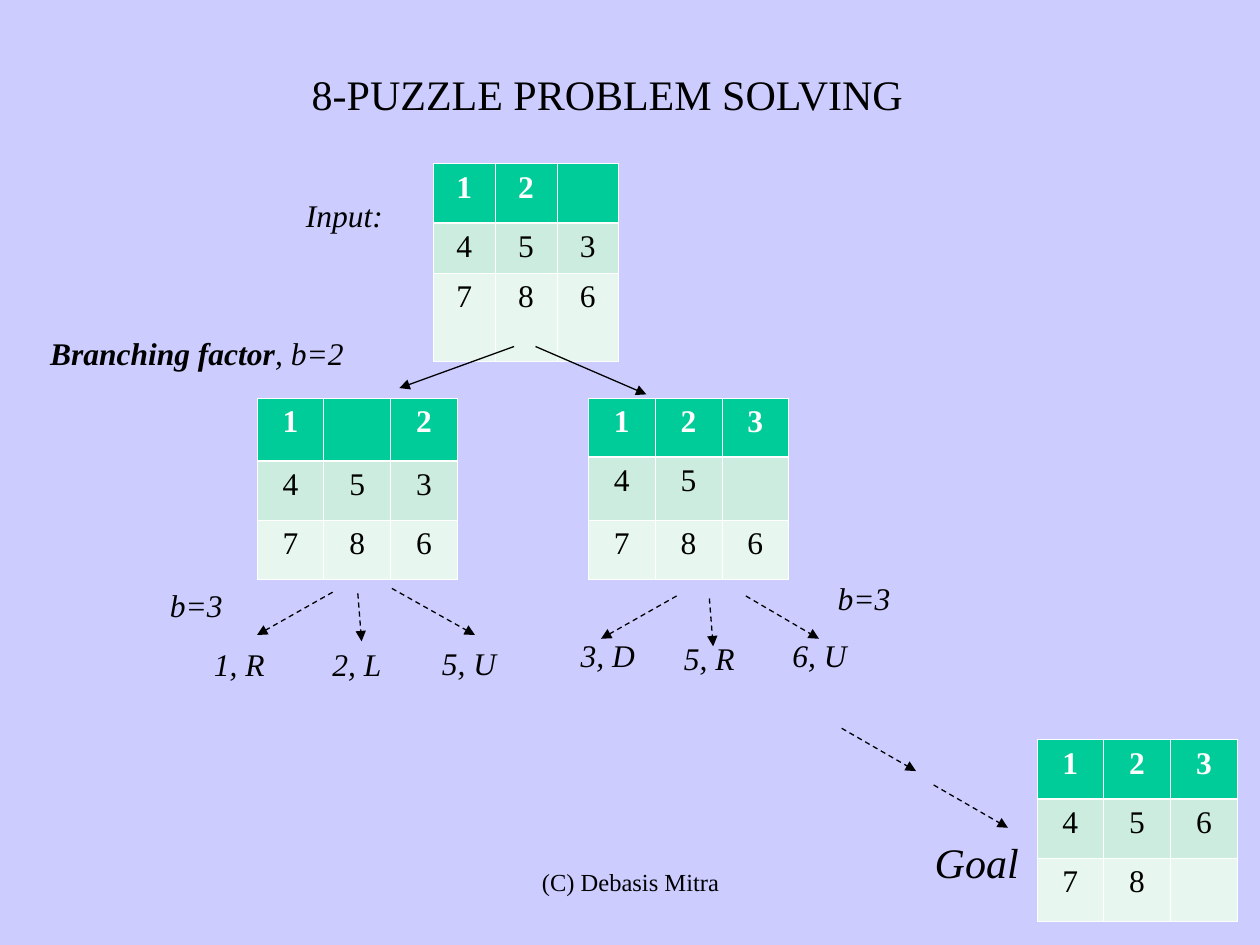
from lxml.etree import SubElement
from pptx import Presentation
from pptx.dml.color import RGBColor
from pptx.enum.dml import MSO_LINE
from pptx.enum.shapes import MSO_CONNECTOR
from pptx.enum.text import MSO_ANCHOR, MSO_AUTO_SIZE, PP_ALIGN
from pptx.oxml.ns import qn
from pptx.util import Inches, Pt

LAVENDER = RGBColor(0xCC, 0xCC, 0xFF)
BLACK = RGBColor(0, 0, 0)
WHITE = RGBColor(0xFF, 0xFF, 0xFF)
GREEN = RGBColor(0x00, 0xCC, 0x99)
MINT = RGBColor(0xCB, 0xEC, 0xDE)
PALE_MINT = RGBColor(0xE7, 0xF6, 0xEF)
ROW_FILLS = (GREEN, MINT, PALE_MINT)


class PuzzleSlide:
    font_name = "Times New Roman"
    body_size = 18
    line_width = 0.75
    thin_border, thick_border = 0.45, 1.47

    def __init__(self, deck):
        self.slide = deck.slides.add_slide(deck.slide_layouts[6])
        fill = self.slide.background.fill
        fill.solid()
        fill.fore_color.rgb = LAVENDER

    def add_span(self, para, text, size=None, color=BLACK, **formats):
        span = para.add_run()
        span.text = text
        formats.update(name=self.font_name, size=Pt(size or self.body_size))
        for name, value in formats.items():
            setattr(span.font, name, value)
        span.font.color.rgb = color

    def add_text(self, left, top, width, height, spans, centered=False, anchor=MSO_ANCHOR.TOP):
        """Add one paragraph made of (text, formats) spans."""
        box = self.slide.shapes.add_textbox(*map(Inches, (left, top, width, height)))
        settings = {
            "word_wrap": centered,
            "vertical_anchor": anchor,
            "auto_size": MSO_AUTO_SIZE.NONE if centered else MSO_AUTO_SIZE.SHAPE_TO_FIT_TEXT,
        }
        for name, value in settings.items():
            setattr(box.text_frame, name, value)
        para = box.text_frame.paragraphs[0]
        para.alignment = PP_ALIGN.CENTER if centered else PP_ALIGN.LEFT
        for text, formats in spans:
            self.add_span(para, text, **formats)

    def add_label(self, left, top, width, text, height=0.4, size=None):
        self.add_text(left, top, width, height, [(text, {"italic": True, "size": size})])

    def add_borders(self, cell, row):
        """Draw white borders, thicker between the first and second rows."""
        widths = {side: self.thin_border for side in ("lnL", "lnR", "lnT", "lnB")}
        if row < 2:
            widths["lnB" if row == 0 else "lnT"] = self.thick_border
        properties = cell._tc.get_or_add_tcPr()
        for side, width in widths.items():
            line = SubElement(properties, qn(f"a:{side}"), w=str(Pt(width)))
            fill = SubElement(line, qn("a:solidFill"))
            SubElement(fill, qn("a:srgbClr"), val=str(WHITE))

    def add_board(self, left, top, rows, column_width=0.53, heights=None):
        """Add a 3 by 3 board; each row is a string with a space for the blank tile."""
        heights = heights or [0.5 if " " in row else 0.47 for row in rows]
        frame = self.slide.shapes.add_table(
            3, 3, Inches(left), Inches(top), Inches(3 * column_width), Inches(sum(heights)))
        table = frame.table
        table.first_row = table.horz_banding = False
        for column in table.columns:
            column.width = Inches(column_width)
        for row, (tiles, height) in enumerate(zip(rows, heights)):
            table.rows[row].height = Inches(height)
            for column, tile in enumerate(tiles):
                cell = table.cell(row, column)
                self.add_borders(cell, row)
                cell.fill.solid()
                cell.fill.fore_color.rgb = ROW_FILLS[row]
                para = cell.text_frame.paragraphs[0]
                para.alignment = PP_ALIGN.CENTER
                if tile != " ":
                    self.add_span(para, tile, color=BLACK if row else WHITE, bold=row == 0)

    def add_arrow(self, start, end, dashed=True):
        arrow = self.slide.shapes.add_connector(
            MSO_CONNECTOR.STRAIGHT, *map(Inches, (*start, *end)))
        arrow.line.color.rgb = BLACK
        arrow.line.width = Pt(self.line_width)
        if dashed:
            arrow.line.dash_style = MSO_LINE.DASH
        SubElement(arrow.line._get_or_add_ln(), qn("a:tailEnd"), type="triangle")
        SubElement(arrow._element.spPr, qn("a:effectLst"))


def main():
    deck = Presentation()
    deck.slide_width, deck.slide_height = Inches(10), Inches(7.5)
    page = PuzzleSlide(deck)

    page.add_text(0.57, 0.24, 8.5, 1, [("8-PUZZLE PROBLEM SOLVING", {"size": 24})],
                  centered=True, anchor=MSO_ANCHOR.MIDDLE)
    page.add_text(3.42, 6.83, 3.17, 0.5, [("(C) Debasis Mitra", {"size": 14})], centered=True)

    page.add_board(3.44, 1.3, ("12 ", "453", "786"), 0.49, (0.47, 0.4, 0.7))
    page.add_board(4.67, 3.16, ("123", "45 ", "786"))
    page.add_board(2.04, 3.16, ("1 2", "453", "786"))
    page.add_board(8.23, 5.87, ("123", "456", "78 "))

    page.add_text(0.3, 2.6, 2.56, 0.4, [
        ("Branching factor", {"bold": True, "italic": True}),
        (", b=2", {"italic": True}),
    ])
    page.add_label(7.32, 6.59, 0.9, "Goal", height=0.5, size=24)
    for left, top, width, text in (
        (2.33, 1.51, 0.81, "Input:"),
        (1.25, 4.6, 0.62, "b=3"),
        (6.55, 4.55, 0.62, "b=3"),
        (1.6, 5.07, 0.6, "1, R"),
        (2.54, 5.07, 0.59, "2, L"),
        (3.41, 5.06, 0.63, "5, U"),
        (4.51, 5, 0.63, "3, D"),
        (5.33, 5.02, 0.6, "5, R"),
        (6.19, 5, 0.63, "6, U"),
    ):
        page.add_label(left, top, width, text)

    for start, end in (((4.08, 2.75), (3.17, 3.08)), ((4.25, 2.75), (5.13, 3.13))):
        page.add_arrow(start, end, dashed=False)
    for start, end in (
        ((2.64, 4.7), (2.04, 5.04)),
        ((2.84, 4.71), (2.87, 5.09)),
        ((3.11, 4.67), (3.77, 5.04)),
        ((5.37, 4.73), (4.77, 5.07)),
        ((5.63, 4.75), (5.66, 5.13)),
        ((5.92, 4.73), (6.5, 5.07)),
        ((6.68, 5.78), (7.27, 6.12)),
        ((7.41, 6.23), (8, 6.57)),
    ):
        page.add_arrow(start, end)

    deck.save("out.pptx")


if __name__ == "__main__":
    main()
